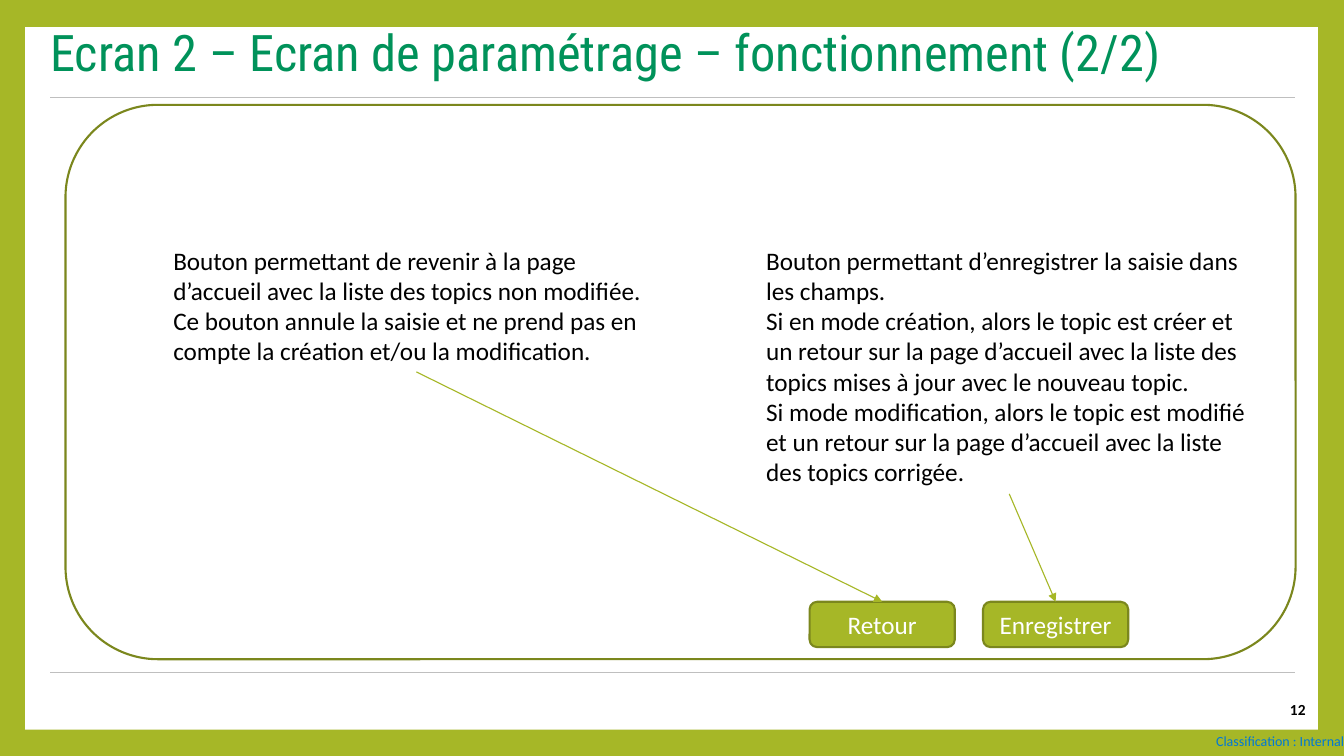
from lxml.etree import SubElement
from pptx import Presentation
from pptx.dml.color import RGBColor
from pptx.enum.shapes import MSO_CONNECTOR, MSO_SHAPE
from pptx.enum.text import MSO_ANCHOR, PP_ALIGN
from pptx.oxml.ns import qn
from pptx.util import Pt

EMU_PER_PX = 9144
TOP, BOTTOM = 0, 2


def px(*lengths):
    return [length * EMU_PER_PX for length in lengths]


def color(hex_value):
    return RGBColor.from_string(hex_value)


def write_text(shape, *texts, size=18, font="Calibri", text_color="000000", bold=False,
               align=PP_ALIGN.LEFT, anchor=MSO_ANCHOR.TOP, margins=(10, 5, 10, 5),
               wrap=True, line_spacing=None, space_before=None):
    frame = shape.text_frame
    frame.word_wrap = wrap
    frame.vertical_anchor = anchor
    (frame.margin_left, frame.margin_top,
     frame.margin_right, frame.margin_bottom) = px(*margins)
    for index, text in enumerate(texts):
        paragraph = frame.add_paragraph() if index else frame.paragraphs[0]
        paragraph.alignment = align
        paragraph.line_spacing = line_spacing
        paragraph.space_before = space_before
        run = paragraph.add_run()
        run.text = text
        run.font.size = Pt(size)
        run.font.name = font
        run.font.bold = bold
        run.font.color.rgb = color(text_color)


class SlideBuilder:
    green = "A6B727"
    dark_green = "7B871D"
    title_green = "00925A"
    gray = "BFBFBF"
    white = "FFFFFF"
    blue = "0078D7"

    def __init__(self, presentation):
        self.slide = presentation.slides.add_slide(presentation.slide_layouts[6])
        fill = self.slide.background.fill
        fill.solid()
        fill.fore_color.rgb = color(self.green)

    def box(self, *bounds, kind=MSO_SHAPE.RECTANGLE, fill=None, line=None):
        shape = self.slide.shapes.add_shape(kind, *px(*bounds))
        shape.shadow.inherit = False
        if fill:
            shape.fill.solid()
            shape.fill.fore_color.rgb = color(fill)
        else:
            shape.fill.background()
        if line:
            shape.line.color.rgb = color(line)
            shape.line.width = Pt(1.5)
        else:
            shape.line.fill.background()
        return shape

    def label(self, *bounds, text, **text_format):
        shape = self.slide.shapes.add_textbox(*px(*bounds))
        write_text(shape, text, anchor=MSO_ANCHOR.MIDDLE, **text_format)

    def note(self, *bounds, texts):
        shape = self.box(*bounds, fill=self.white)
        write_text(shape, *texts)
        return shape

    def button(self, *bounds, text):
        shape = self.box(*bounds, kind=MSO_SHAPE.ROUNDED_RECTANGLE,
                         fill=self.green, line=self.dark_green)
        write_text(shape, text, text_color=self.white,
                   align=PP_ALIGN.CENTER, anchor=MSO_ANCHOR.MIDDLE)
        return shape

    def line(self, *ends, line_color, width):
        connector = self.slide.shapes.add_connector(MSO_CONNECTOR.STRAIGHT, *px(*ends))
        connector.line.color.rgb = color(line_color)
        connector.line.width = Pt(width)
        SubElement(connector._element.spPr, qn("a:effectLst"))
        return connector

    def arrow(self, start, end):
        connector = self.line(0, 0, 0, 0, line_color=self.green, width=0.79)
        connector.begin_connect(start, BOTTOM)
        connector.end_connect(end, TOP)
        SubElement(connector.line._get_or_add_ln(), qn("a:tailEnd"), type="triangle")


def main():
    presentation = Presentation()
    presentation.slide_width, presentation.slide_height = px(1333, 750)
    builder = SlideBuilder(presentation)

    builder.box(25, 27, 1282, 697, fill=builder.white)
    builder.label(1173, 721, 160, 29, text="Classification : Internal", size=10,
                  text_color=builder.blue, align=PP_ALIGN.RIGHT, margins=(0, 0, 0, 0))
    for rule_y in (667, 97):
        builder.line(50, rule_y, 1284, rule_y, line_color=builder.gray, width=1)
    builder.label(50, 31, 1245, 47,
                  text="Ecran 2 – Ecran de paramétrage – fonctionnement (2/2)",
                  size=36, font="Roboto Condensed", text_color=builder.title_green,
                  margins=(0, 5, 10, 5), line_spacing=0.9, space_before=Pt(14))
    builder.label(1269, 694, 26, 20, text="12", size=11, bold=True, wrap=False,
                  align=PP_ALIGN.RIGHT, margins=(0, 0, 0, 0))

    builder.box(65, 104, 1220, 550, kind=MSO_SHAPE.ROUNDED_RECTANGLE,
                line=builder.dark_green)
    save_button = builder.button(975, 597, 144, 45, text="Enregistrer")
    back_button = builder.button(803, 597, 144, 45, text="Retour")
    save_note = builder.note(750, 238, 502, 252, texts=(
        "Bouton permettant d’enregistrer la saisie dans les champs.",
        "Si en mode création, alors le topic est créer et un retour sur la page "
        "d’accueil avec la liste des topics mises à jour avec le nouveau topic.",
        "Si mode modification, alors le topic est modifié et un retour sur la page "
        "d’accueil avec la liste des topics corrigée.",
    ))
    back_note = builder.note(162, 238, 502, 131, texts=(
        "Bouton permettant de revenir à la page d’accueil avec la liste des topics "
        "non modifiée.",
        "Ce bouton annule la saisie et ne prend pas en compte la création et/ou "
        "la modification.",
    ))
    builder.arrow(save_note, save_button)
    builder.arrow(back_note, back_button)

    presentation.save("out.pptx")


if __name__ == "__main__":
    main()
